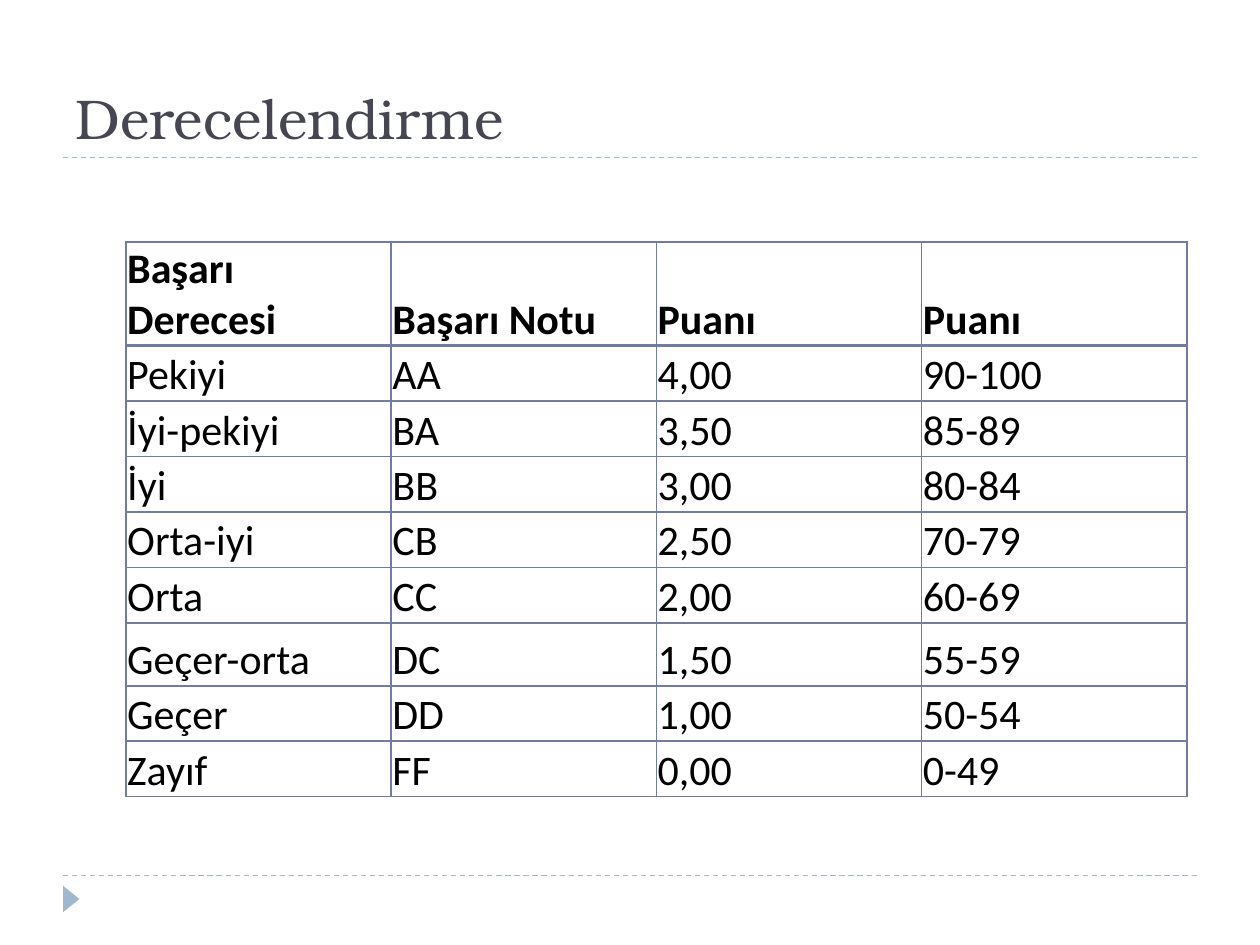
from lxml import etree
from pptx import Presentation
from pptx import util as u
from pptx.dml.color import RGBColor
from pptx.enum import dml, shapes, text
from pptx.oxml.ns import qn

# Content
TITLE = "Derecelendirme"
HEADER = ("Başarı\nDerecesi", "Başarı Notu", "Puanı", "Puanı")
GRADES = [
    ("Pekiyi", "AA", "4,00", "90-100"),
    ("İyi-pekiyi", "BA", "3,50", "85-89"),
    ("İyi", "BB", "3,00", "80-84"),
    ("Orta-iyi", "CB", "2,50", "70-79"),
    ("Orta", "CC", "2,00", "60-69"),
    ("Geçer-orta", "DC", "1,50", "55-59"),
    ("Geçer", "DD", "1,00", "50-54"),
    ("Zayıf", "FF", "0,00", "0-49"),
]

# Look and layout, in inches
COLORS = {"title": "464653", "text": "000000", "rule": "9FB8CD", "grid": "727CA3"}
WIDTH, HEIGHT, MARGIN = 10, 7.5, 0.5
TABLE_LEFT, TABLE_TOP, TABLE_WIDTH = 1, 1.92, 8.42
ROW_HEIGHT, HEADER_HEIGHT, TALL_ROW, TALL_HEIGHT = 0.44, 0.82, 6, 0.5
RULES = (6.95, 1.25)


def rgb(name):
    return RGBColor.from_string(COLORS[name])


def write(frame, content, size=24, font="Calibri", color="text", bold=False):
    frame.text = content
    for paragraph in frame.paragraphs:
        paragraph.alignment = text.PP_ALIGN.LEFT
        style = paragraph.runs[0].font
        style.size, style.name, style.bold = u.Pt(size), font, bold
        style.color.rgb = rgb(color)


def set_borders(cell, bottom=1, top=1):
    props = cell._tc.get_or_add_tcPr()
    widths = {"a:lnL": 1, "a:lnR": 1, "a:lnT": top, "a:lnB": bottom}
    for position, (side, width) in enumerate(widths.items()):
        line = etree.Element(qn(side), w=str(u.Pt(width)))
        fill = etree.SubElement(line, qn("a:solidFill"))
        etree.SubElement(fill, qn("a:srgbClr"), val=COLORS["grid"])
        props.insert(position, line)


prs = Presentation()
prs.slide_width, prs.slide_height = u.Inches(WIDTH), u.Inches(HEIGHT)
slide = prs.slides.add_slide(prs.slide_layouts[5])

# Dashed rules
for y in RULES:
    rule = slide.shapes.add_connector(
        shapes.MSO_CONNECTOR.STRAIGHT, u.Inches(MARGIN), u.Inches(y),
        u.Inches(WIDTH - MARGIN), u.Inches(y))
    rule.line.color.rgb = rgb("rule")
    rule.line.width = u.Pt(0.75)
    rule.line.dash_style = dml.MSO_LINE.DASH
    etree.SubElement(rule._element.spPr, qn("a:effectLst"))

# Footer marker
marker = slide.shapes.add_shape(
    shapes.MSO_SHAPE.ISOSCELES_TRIANGLE,
    u.Inches(0.46), u.Inches(7.07), u.Inches(0.21), u.Inches(0.13))
marker.rotation = 90
marker.shadow.inherit = False
marker.fill.solid()
marker.fill.fore_color.rgb = rgb("rule")
marker.line.fill.background()

# Title
title = slide.shapes.title
title.left, title.top = u.Inches(MARGIN), u.Inches(0.17)
title.width, title.height = u.Inches(WIDTH - 2 * MARGIN), u.Inches(1.08)
title.text_frame.vertical_anchor = text.MSO_ANCHOR.BOTTOM
write(title.text_frame, TITLE, size=32, font="TeX Gyre Bonum", color="title")

# Grade table
rows = [HEADER] + GRADES
heights = [HEADER_HEIGHT] + [ROW_HEIGHT] * len(GRADES)
heights[TALL_ROW] = TALL_HEIGHT
table = slide.shapes.add_table(
    len(rows), len(HEADER), u.Inches(TABLE_LEFT), u.Inches(TABLE_TOP),
    u.Inches(TABLE_WIDTH), u.Inches(sum(heights))).table
table.horz_banding = False
for r, (row, height) in enumerate(zip(rows, heights)):
    table.rows[r].height = u.Inches(height)
    for c, content in enumerate(row):
        cell = table.cell(r, c)
        cell.margin_left = cell.margin_right = cell.margin_top = u.Inches(0.01)
        cell.margin_bottom = 0
        cell.vertical_anchor = text.MSO_ANCHOR.BOTTOM
        cell.fill.background()
        write(cell.text_frame, content, bold=r == 0)
        set_borders(cell, bottom=2 if r == 0 else 1, top=2 if r == 1 else 1)

prs.save("out.pptx")
